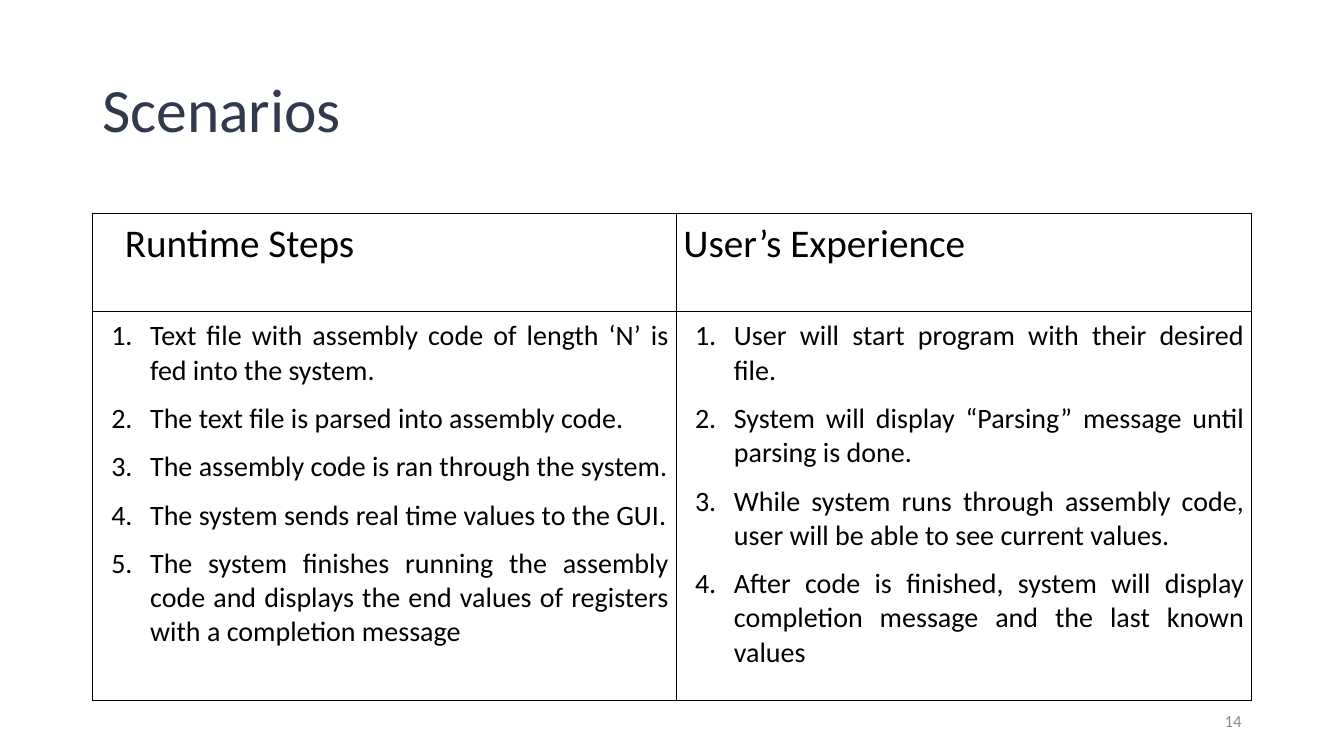
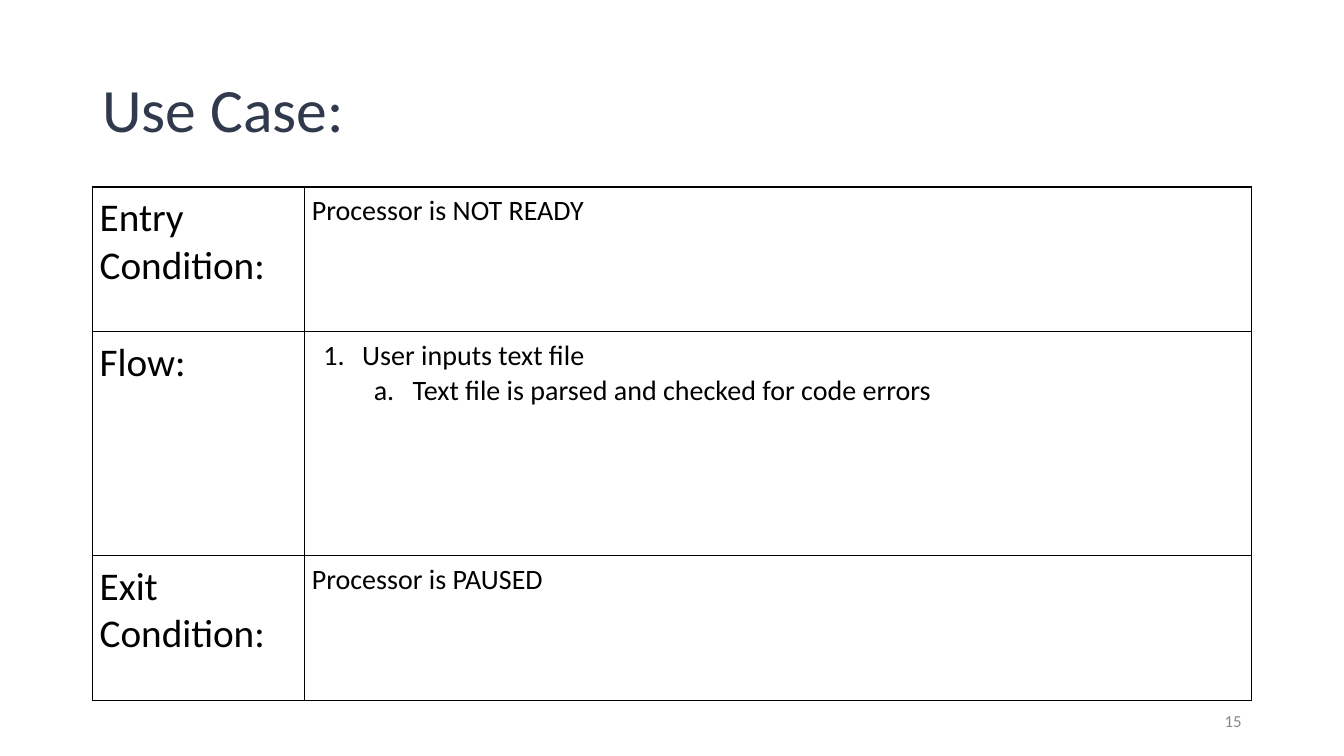
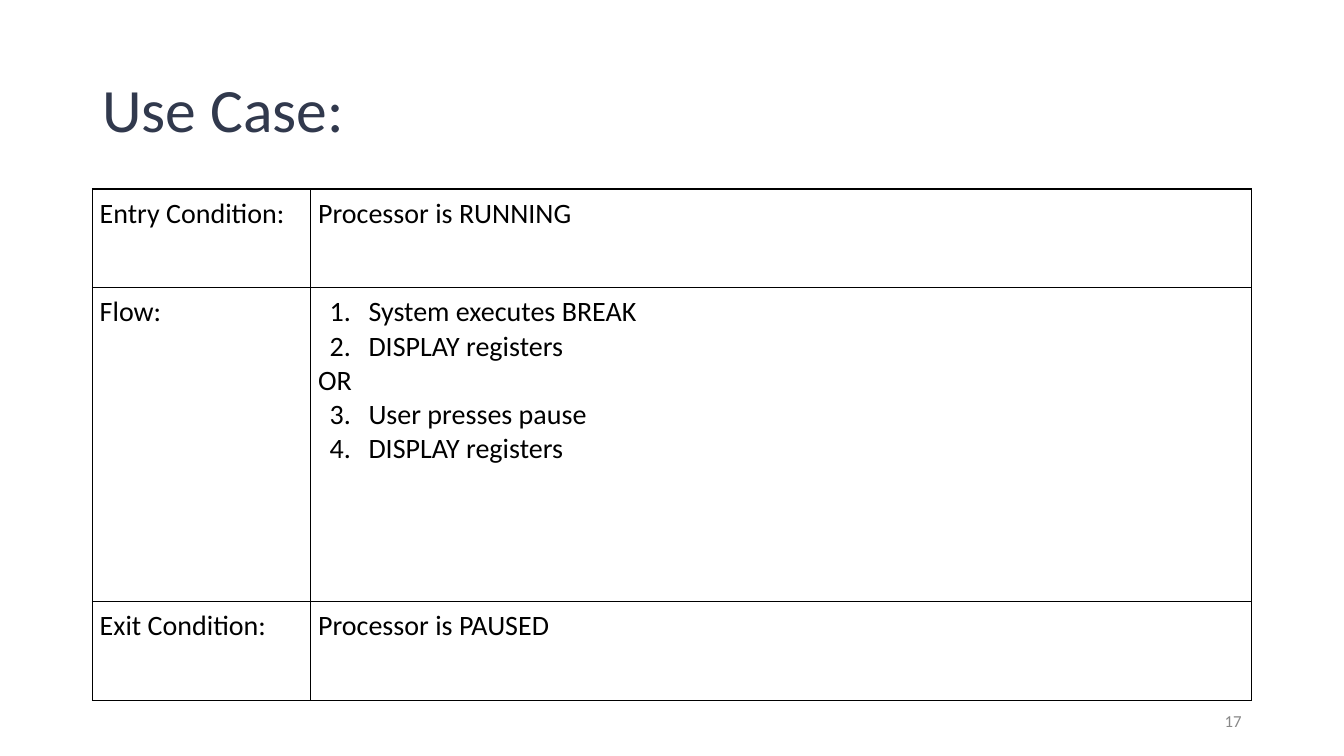
from dataclasses import dataclass

from lxml import etree
from pptx import Presentation
from pptx import util as u
from pptx.dml import color
from pptx.enum import text
from pptx.oxml import ns

PX = 9525
LEFT, WIDTH = 88, 1104
HANG = 37
STEP = 48


@dataclass(frozen=True)
class Theme:
    font: str = "Calibri"
    title: str = "31394D"
    ink: str = "000000"
    muted: str = "888888"
    title_size: int = 44
    heading_size: int = 28
    body_size: int = 20
    number_size: int = 12
    border: float = 1


@dataclass(frozen=True)
class Line:
    words: str
    size: int
    margin: int = 0
    indent: int = 0
    numbering: str = ""
    start: int = 1
    level: int = 0
    before: int = 0
    after: int = 0


THEME = Theme()


def heading(words, margin=0, indent=0):
    return [Line(words, THEME.heading_size, margin, indent)]


def body(words):
    return [Line(words, THEME.body_size)]


def numbered(items, start=1, level=0, gap=0):
    numbering = ("arabicPeriod", "alphaLcPeriod")[level]
    last = len(items) - 1
    return [
        Line(words, THEME.body_size, STEP * (level + 1), -HANG, numbering, start, level,
             before=gap if index else 0, after=gap if index == last else 0)
        for index, words in enumerate(items)
    ]


def add_node(parent, tag, **attributes):
    return etree.SubElement(parent, ns.qn(tag), attributes)


class Deck:
    def __init__(self, theme):
        self.theme = theme
        self.deck = Presentation()
        self.deck.slide_width = self.px(1280)
        self.deck.slide_height = self.px(720)
        self.page = None

    def px(self, length):
        return u.Emu(length * PX)

    def add_page(self, title, number):
        self.page = self.deck.slides.add_slide(self.deck.slide_layouts[6])
        theme = self.theme
        heading_line = self.add_text(title, (LEFT, 38, WIDTH, 139), theme.title_size, theme.title)
        heading_line.line_spacing = 0.9
        number_line = self.add_text(str(number), (904, 667, 288, 38), theme.number_size, theme.muted)
        number_line.alignment = text.PP_ALIGN.RIGHT

    def set_font(self, paragraph, size, ink):
        font = paragraph.font
        font.name = self.theme.font
        font.size = u.Pt(size)
        font.color.rgb = color.RGBColor.from_string(ink)

    def add_text(self, words, place, size, ink):
        box = self.page.shapes.add_textbox(*map(self.px, place))
        frame = box.text_frame
        frame.word_wrap = True
        frame.vertical_anchor = text.MSO_ANCHOR.MIDDLE
        paragraph = frame.paragraphs[0]
        paragraph.text = words
        self.set_font(paragraph, size, ink)
        return paragraph

    def add_table(self, top, columns, rows, contents):
        frame = self.page.shapes.add_table(
            len(rows), len(columns),
            *map(self.px, (LEFT, top, sum(columns), sum(rows))))
        table = frame.table
        table.first_row = table.horz_banding = False
        for column, width in zip(table.columns, columns):
            column.width = self.px(width)
        for row, height, row_contents in zip(table.rows, rows, contents):
            row.height = self.px(height)
            for cell, lines in zip(row.cells, row_contents):
                self.fill_cell(cell, lines)

    def fill_cell(self, cell, lines):
        cell.margin_left = cell.margin_right = self.px(7)
        cell.margin_top = cell.margin_bottom = self.px(7)
        properties = cell._tc.get_or_add_tcPr()
        for side in "LRTB":
            edge = add_node(properties, f"a:ln{side}", w=str(u.Pt(self.theme.border)))
            add_node(add_node(edge, "a:solidFill"), "a:srgbClr", val=self.theme.ink)
        cell.fill.background()
        frame = cell.text_frame
        for index, line in enumerate(lines):
            paragraph = frame.add_paragraph() if index else frame.paragraphs[0]
            self.write_line(paragraph, line)

    def write_line(self, paragraph, line):
        paragraph.text = line.words
        properties = paragraph._p.get_or_add_pPr()
        properties.set("marL", str(self.px(line.margin)))
        properties.set("indent", str(self.px(line.indent)))
        if line.numbering:
            add_node(add_node(properties, "a:buClr"), "a:srgbClr", val=self.theme.ink)
            add_node(properties, "a:buFont", typeface=self.theme.font)
            add_node(properties, "a:buAutoNum", type=line.numbering, startAt=str(line.start))
        paragraph.level = line.level
        paragraph.alignment = text.PP_ALIGN.JUSTIFY
        paragraph.space_before = u.Pt(line.before)
        paragraph.space_after = u.Pt(line.after)
        self.set_font(paragraph, line.size, self.theme.ink)


def main():
    show = Deck(THEME)

    show.add_page("Scenarios", 14)
    runtime_steps = numbered([
        "Text file with assembly code of length ‘N’ is fed into the system.",
        "The text file is parsed into assembly code.",
        "The assembly code is ran through the system.",
        "The system sends real time values to the GUI.",
        "The system finishes running the assembly code and displays the end values "
        "of registers with a completion message",
    ], gap=10)
    user_experience = numbered([
        "User will start program with their desired file.",
        "System will display “Parsing” message until parsing is done.",
        "While system runs through assembly code, user will be able to see current values.",
        "After code is finished, system will display completion message and the last known values",
    ], gap=10)
    show.add_table(203, (556, 548), (94, 370), [
        [heading("Runtime Steps", STEP, -24), heading("User’s Experience")],
        [runtime_steps, user_experience],
    ])

    show.add_page("Use Case:", 15)
    parse_flow = (numbered(["User inputs text file"])
                  + numbered(["Text file is parsed and checked for code errors"], level=1))
    show.add_table(178, (202, 902), (138, 213, 138), [
        [heading("Entry Condition:"), body("Processor is NOT READY")],
        [heading("Flow:"), parse_flow],
        [heading("Exit Condition:"), body("Processor is PAUSED")],
    ])

    show.add_page("Use Case:", 17)
    pause_flow = (numbered(["System executes BREAK", "DISPLAY registers"])
                  + body("OR")
                  + numbered(["User presses pause", "DISPLAY registers"], start=3))
    show.add_table(180, (208, 896), (94, 299, 94), [
        [body("Entry Condition:"), body("Processor is RUNNING")],
        [body("Flow:"), pause_flow],
        [body("Exit Condition:"), body("Processor is PAUSED")],
    ])

    show.deck.save("out.pptx")


if __name__ == "__main__":
    main()
